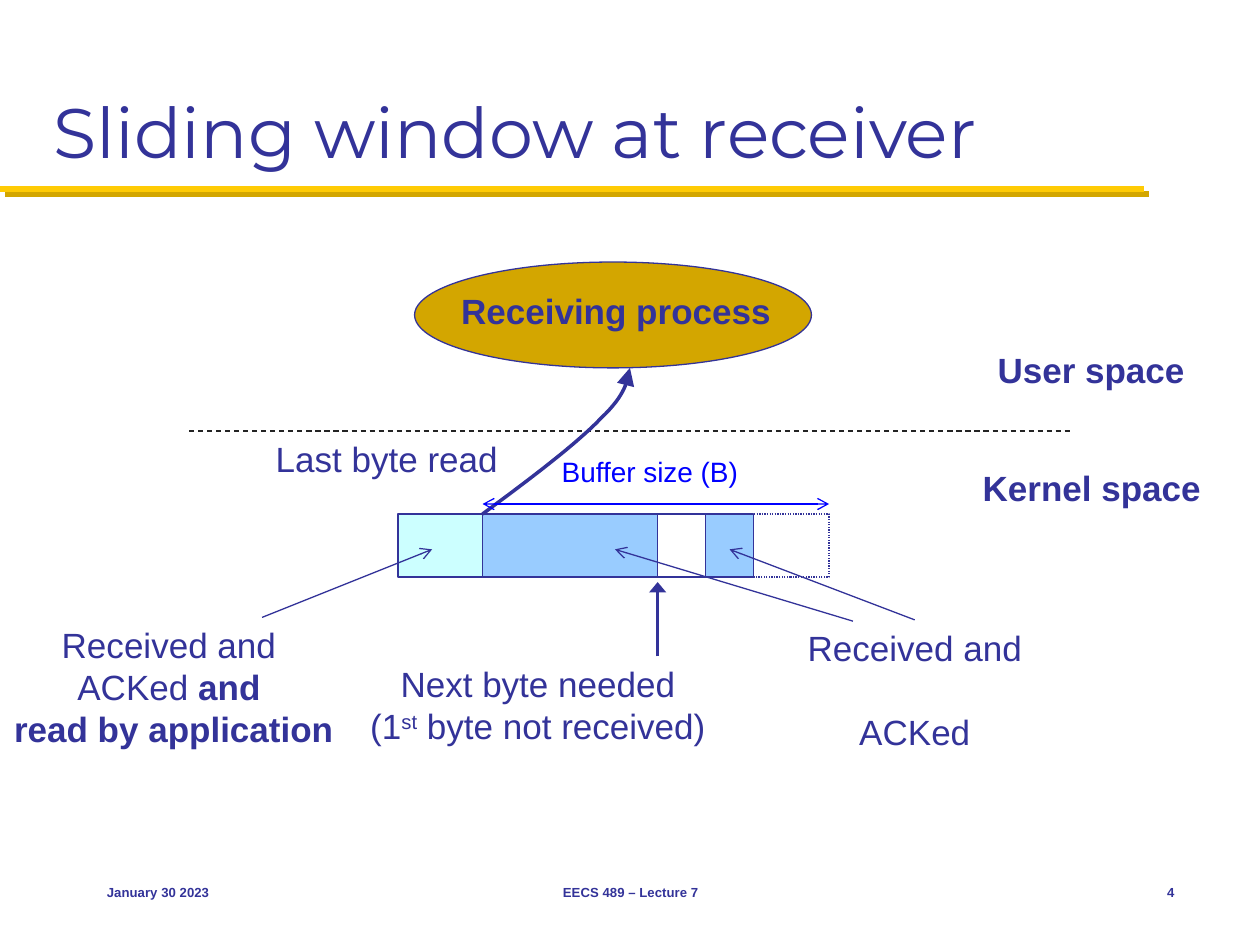
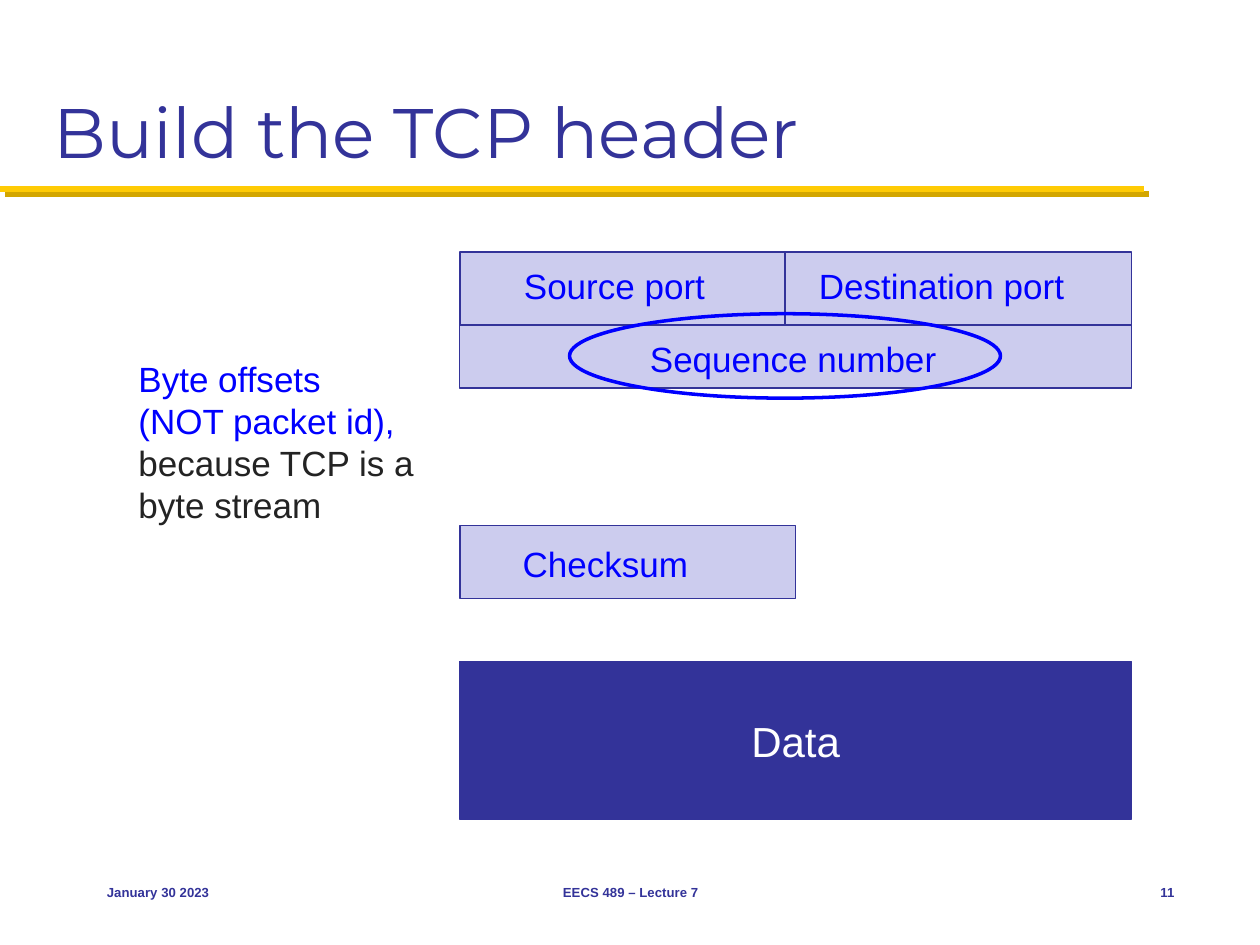
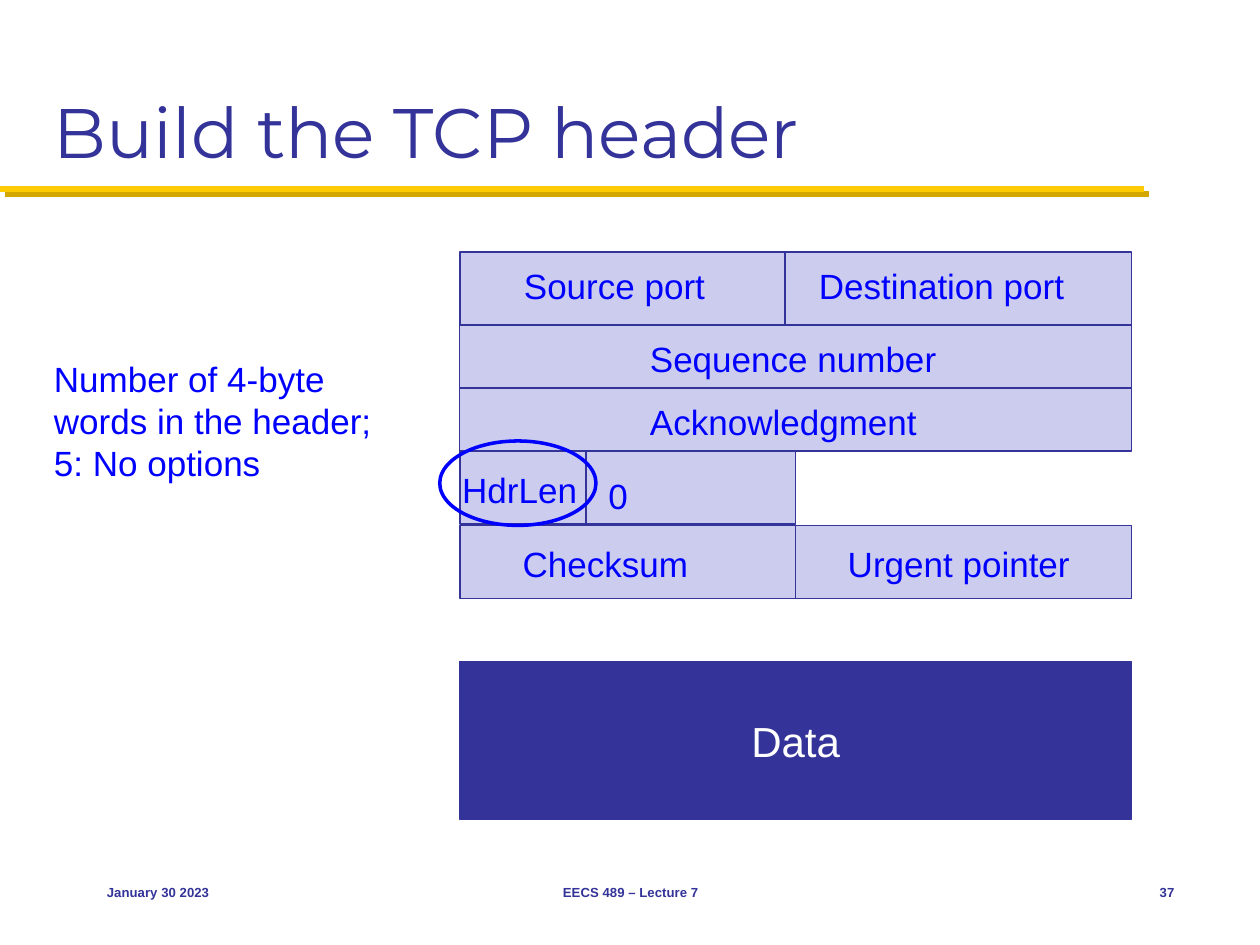
from dataclasses import dataclass

from lxml import etree
from pptx import Presentation
from pptx.dml.color import RGBColor
from pptx.enum.dml import MSO_LINE
from pptx.enum.shapes import MSO_CONNECTOR, MSO_SHAPE
from pptx.enum.text import MSO_ANCHOR, MSO_AUTO_SIZE, PP_ALIGN
from pptx.oxml.ns import qn
from pptx.util import Inches, Pt

LEFT, CENTER, RIGHT = PP_ALIGN.LEFT, PP_ALIGN.CENTER, PP_ALIGN.RIGHT
TOP, MIDDLE, BOTTOM = MSO_ANCHOR.TOP, MSO_ANCHOR.MIDDLE, MSO_ANCHOR.BOTTOM
RECTANGLE, ELLIPSE = MSO_SHAPE.RECTANGLE, MSO_SHAPE.OVAL
DASH, DOT = MSO_LINE.DASH, MSO_LINE.ROUND_DOT
STRAIGHT = MSO_CONNECTOR.STRAIGHT
FIT, NO_FIT = MSO_AUTO_SIZE.SHAPE_TO_FIT_TEXT, MSO_AUTO_SIZE.NONE
BLANK_LAYOUT = 6

OPEN_ARROW = {"type": "arrow"}
WIDE_ARROW = {"type": "triangle", "w": "lg", "len": "med"}
LARGE_ARROW = {"type": "triangle", "w": "lg", "len": "lg"}


@dataclass(frozen=True)
class Theme:
    navy: str = "333399"
    blue: str = "0000FF"
    dark: str = "232323"
    white: str = "FFFFFF"
    yellow: str = "FFCB05"
    gold: str = "D3A600"
    lavender: str = "CCCCEE"
    read_bytes: str = "CCFFFF"
    buffered_bytes: str = "99CCFF"
    body_font: str = "Arial"
    title_font: str = "Montserrat"
    title_size: float = 40
    data_size: float = 24
    body_size: float = 20
    small_size: float = 16
    footer_size: float = 7.5
    thin: float = 0.75
    medium: float = 1.5
    thick: float = 2
    rule: float = 3.5


THEME = Theme()

HEADER_LEFT, HEADER_WIDTH = 3.65, 5.33
HALF_WIDTH = HEADER_WIDTH / 2
PORT_WIDTH = 2.58
# name: (left, top, width, height, label left, label top, label width)
FIELDS = {
    "Source port": (HEADER_LEFT, 2, PORT_WIDTH, 0.58, 4.06, 2.05, 1.8),
    "Destination port": (HEADER_LEFT + PORT_WIDTH, 2, HEADER_WIDTH - PORT_WIDTH, 0.58,
                         6.4, 2.05, 2.3),
    "Sequence number": (HEADER_LEFT, 2.58, HEADER_WIDTH, 0.5, 5.06, 2.63, 2.6),
    "Acknowledgment": (HEADER_LEFT, 3.08, HEADER_WIDTH, 0.5, 5.06, 3.13, 2.5),
    "0": (HEADER_LEFT, 3.58, HALF_WIDTH, 0.58, 4.73, 3.72, 0.5),
    "Checksum": (HEADER_LEFT, 4.17, HALF_WIDTH, 0.58, 4.05, 4.26, 1.7),
    "Urgent pointer": (HEADER_LEFT + HALF_WIDTH, 4.17, HALF_WIDTH, 0.58, 6.63, 4.26, 2.1),
}


def color(value):
    return RGBColor.from_string(value)


def box(left, top, width, height):
    return [Inches(length) for length in (left, top, width, height)]


def paint(shape, fill):
    if fill:
        shape.fill.solid()
        shape.fill.fore_color.rgb = color(fill)
    else:
        shape.fill.background()


def style_line(line, line_color, width, dash=None):
    line.color.rgb = color(line_color)
    line.width = Pt(width)
    if dash:
        line.dash_style = dash


def add_arrowheads(line, head, tail):
    for tag, arrow in (("a:headEnd", head), ("a:tailEnd", tail)):
        if arrow:
            etree.SubElement(line._get_or_add_ln(), qn(tag), **arrow)


def write_text(shape, paragraphs, *, size=THEME.body_size, font=THEME.body_font,
               text_color=THEME.navy, bold=False, align=LEFT, anchor=TOP, wrap=False,
               fit=FIT, gap=0):
    """Fill a shape from a string or paragraphs; a paragraph is a string or (text, changes) runs."""
    if isinstance(paragraphs, str):
        paragraphs = [paragraphs]
    frame = shape.text_frame
    frame.word_wrap = wrap
    frame.auto_size = fit
    frame.vertical_anchor = anchor
    for index, content in enumerate(paragraphs):
        paragraph = frame.add_paragraph() if index else frame.paragraphs[0]
        paragraph.alignment = align
        if index and gap:
            paragraph.space_before = Pt(gap)
        runs = [(content, {})] if isinstance(content, str) else content
        for text, changes in runs:
            run = paragraph.add_run()
            run.text = text
            run.font.name = font
            run.font.size = Pt(size)
            run.font.bold = changes.get("bold", bold)
            run.font.color.rgb = color(changes.get("text_color", text_color))
            if changes.get("superscript"):
                run._r.get_or_add_rPr().set("baseline", "30000")


def add_text(slide, bounds, paragraphs, fill=None, **text_format):
    text_box = slide.shapes.add_textbox(*box(*bounds))
    paint(text_box, fill)
    write_text(text_box, paragraphs, **text_format)


def add_box(slide, bounds, kind=RECTANGLE, fill=None, line_color=THEME.navy,
            width=THEME.thin, dash=None):
    shape = slide.shapes.add_shape(kind, *box(*bounds))
    shape.shadow.inherit = False
    paint(shape, fill)
    style_line(shape.line, line_color, width, dash)
    return shape


def add_line(slide, start, end, line_color=THEME.navy, width=THEME.thin, dash=None,
             head=None, tail=None):
    """Draw a straight line and return its effect list."""
    connector = slide.shapes.add_connector(STRAIGHT, *box(*start, *end))
    style_line(connector.line, line_color, width, dash)
    add_arrowheads(connector.line, head, tail)
    return etree.SubElement(connector._element.spPr, qn("a:effectLst"))


def bezier_points(start, control_1, control_2, end, steps=16):
    for step in range(1, steps + 1):
        t = step / steps
        weights = ((1 - t) ** 3, 3 * t * (1 - t) ** 2, 3 * t * t * (1 - t), t ** 3)
        points = (start, control_1, control_2, end)
        yield tuple(Inches(sum(weight * point[axis] for weight, point in zip(weights, points)))
                    for axis in (0, 1))


def add_curved_arrow(slide, start, *segments):
    builder = slide.shapes.build_freeform(Inches(start[0]), Inches(start[1]))
    for segment in segments:
        builder.add_line_segments(list(bezier_points(start, *segment)), close=False)
        start = segment[-1]
    curve = builder.convert_to_shape()
    curve.shadow.inherit = False
    paint(curve, None)
    style_line(curve.line, THEME.navy, THEME.thick)
    add_arrowheads(curve.line, None, LARGE_ARROW)


def add_title_rule(slide):
    effects = add_line(slide, (0, 1.5), (9.08, 1.5), THEME.yellow, THEME.rule)
    shadow = etree.SubElement(effects, qn("a:outerShdw"), dist=str(Pt(4.2)), dir="2700000",
                              algn="ctr", rotWithShape="0")
    etree.SubElement(shadow, qn("a:srgbClr"), val=THEME.gold)


def add_base_slide(presentation, title, number):
    slide = presentation.slides.add_slide(presentation.slide_layouts[BLANK_LAYOUT])
    add_title_rule(slide)
    add_text(slide, (0.33, 0.17, 9.33, 1.25), title, size=THEME.title_size,
             font=THEME.title_font, anchor=BOTTOM, wrap=True, fit=NO_FIT)
    footers = (
        (0.75, 2.08, LEFT, "January 30 2023"),
        (3.42, 3.17, CENTER, "EECS 489 – Lecture 7"),
        (8.75, 0.67, RIGHT, str(number)),
    )
    for left, width, align, text in footers:
        add_text(slide, (left, 6.83, width, 0.5), text, size=THEME.footer_size, bold=True,
                 align=align, anchor=MIDDLE, fit=NO_FIT)
    return slide


def build_sliding_window(presentation):
    slide = add_base_slide(presentation, "Sliding window at receiver", 4)
    add_box(slide, (3.29, 2.08, 3.15, 0.84), ELLIPSE, THEME.gold)
    add_line(slide, (1.5, 3.42), (8.5, 3.42), THEME.dark, dash=DASH)

    buffer_parts = (
        (3.16, 0.67, THEME.read_bytes, None),
        (3.83, 1.43, THEME.buffered_bytes, None),
        (5.22, 0.38, THEME.white, None),
        (5.97, 0.61, None, DOT),
        (5.6, 0.38, THEME.buffered_bytes, None),
    )
    for left, width, fill, dash in buffer_parts:
        add_box(slide, (left, 4.08, width, 0.5), fill=fill, dash=dash)

    add_curved_arrow(slide, (3.83, 4.08),
                     ((4.21, 3.8), (4.58, 3.52), (4.77, 3.32)),
                     ((4.97, 3.13), (4.98, 3.02), (5, 2.92)))
    add_line(slide, (5.22, 5.21), (5.22, 4.62), width=THEME.medium, tail=WIDE_ARROW)
    for start, end in (((7.26, 4.92), (5.79, 4.36)),
                       ((6.77, 4.93), (4.88, 4.36)),
                       ((2.08, 4.9), (3.43, 4.36))):
        add_line(slide, start, end, tail=OPEN_ARROW)
    add_line(slide, (3.83, 4), (6.58, 4), THEME.blue, head=OPEN_ARROW, tail=OPEN_ARROW)

    for bounds, text in (((3.56, 2.25, 2.66, 0.43), "Receiving process"),
                         ((7.69, 3.65, 1.95, 0.44), "Kernel space"),
                         ((7.81, 2.72, 1.7, 0.44), "User space")):
        add_text(slide, bounds, text, bold=True, align=CENTER)
    add_text(slide, (2.08, 3.42, 1.98, 0.44), "Last byte read", align=CENTER)
    add_text(slide, (4.36, 3.56, 1.97, 0.44), "Buffer size (B)", size=THEME.small_size,
             text_color=THEME.blue)
    add_text(slide, (2.82, 5.21, 2.9, 0.77),
             ["Next byte needed",
              [("(1", {}), ("st", {"superscript": True}), (" byte not received)", {})]],
             align=CENTER)
    add_text(slide, (6.3, 4.92, 1.92, 1.11), ["Received and", "ACKed"], align=CENTER,
             gap=THEME.body_size * 1.2)
    add_text(slide, (0, 4.9, 2.76, 1.11),
             ["Received and ",
              [("ACKed ", {}), ("and ", {"bold": True})],
              [("read by application", {"bold": True})]],
             align=CENTER)


def add_field(slide, name):
    left, top, width, height, label_left, label_top, label_width = FIELDS[name]
    add_box(slide, (left, top, width, height), fill=THEME.lavender)
    add_text(slide, (label_left, label_top, label_width, 0.43), name, fill=THEME.lavender,
             text_color=THEME.blue, wrap=True)


def add_header_slide(presentation, number, names):
    slide = add_base_slide(presentation, "Build the TCP header", number)
    for name in names:
        add_field(slide, name)
    data = add_box(slide, (HEADER_LEFT, 5.25, HEADER_WIDTH, 1.25), fill=THEME.navy)
    write_text(data, "Data", size=THEME.data_size, text_color=THEME.white, align=CENTER,
               anchor=MIDDLE, fit=NO_FIT)
    return slide


def add_highlight(slide, bounds):
    add_box(slide, bounds, ELLIPSE, line_color=THEME.blue, width=THEME.thick)


def build_sequence_number(presentation):
    names = ("Source port", "Destination port", "Sequence number", "Checksum")
    slide = add_header_slide(presentation, 11, names)
    add_highlight(slide, (4.52, 2.49, 3.42, 0.67))
    dark = {"text_color": THEME.dark}
    add_text(slide, (1, 2.79, 2.48, 1.45),
             ["Byte offsets", "(NOT packet id),",
              [("because TCP is a", dark)], [("byte stream", dark)]],
             text_color=THEME.blue, wrap=True)


def build_header_length(presentation):
    slide = add_header_slide(presentation, 37, FIELDS)
    add_text(slide, (3.57, 3.67, 1.17, 0.43), "HdrLen", text_color=THEME.blue, wrap=True)
    add_line(slide, (4.65, 3.58), (4.65, 4.17))
    add_highlight(slide, (3.49, 3.5, 1.24, 0.67))
    add_text(slide, (0.33, 2.79, 3, 1.11),
             ["Number of 4-byte words in the header;", "5: No options"],
             text_color=THEME.blue, wrap=True)


def main():
    presentation = Presentation()
    presentation.slide_width = Inches(10)
    presentation.slide_height = Inches(7.5)
    build_sliding_window(presentation)
    build_sequence_number(presentation)
    build_header_length(presentation)
    presentation.save("out.pptx")


if __name__ == "__main__":
    main()
